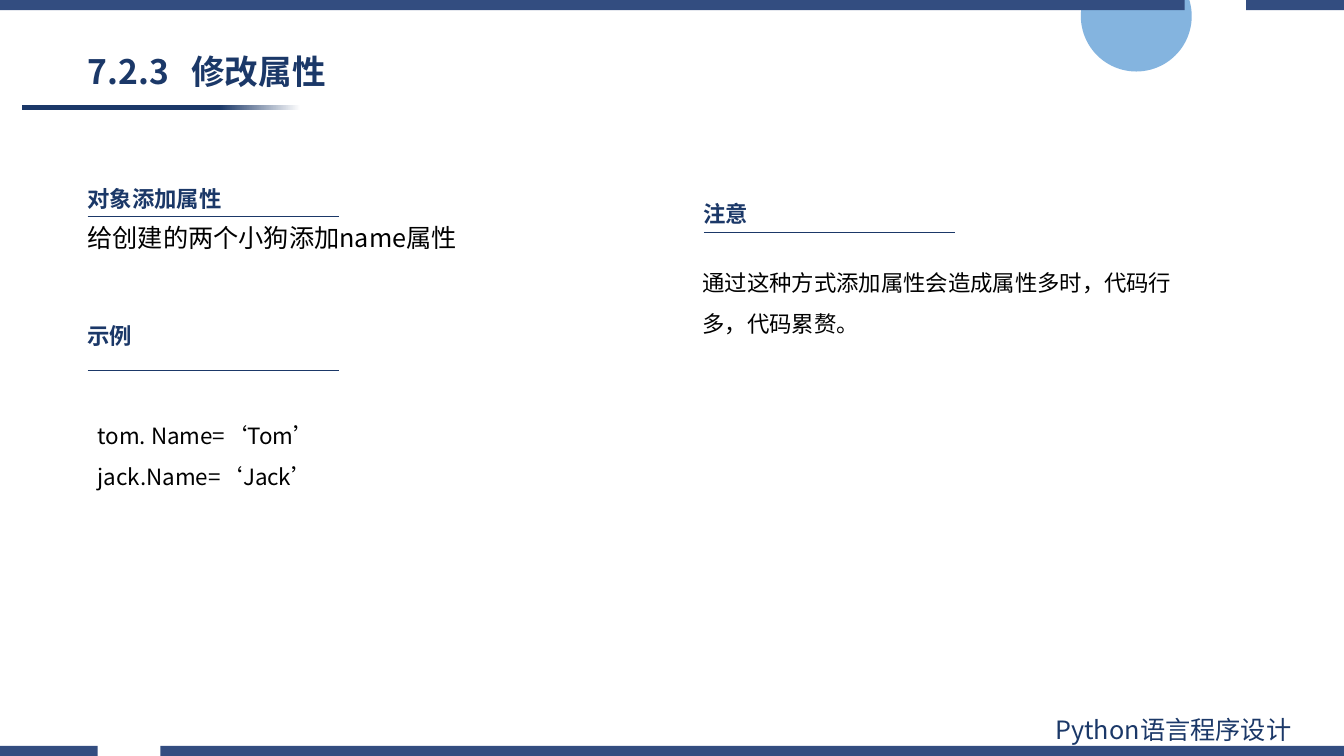
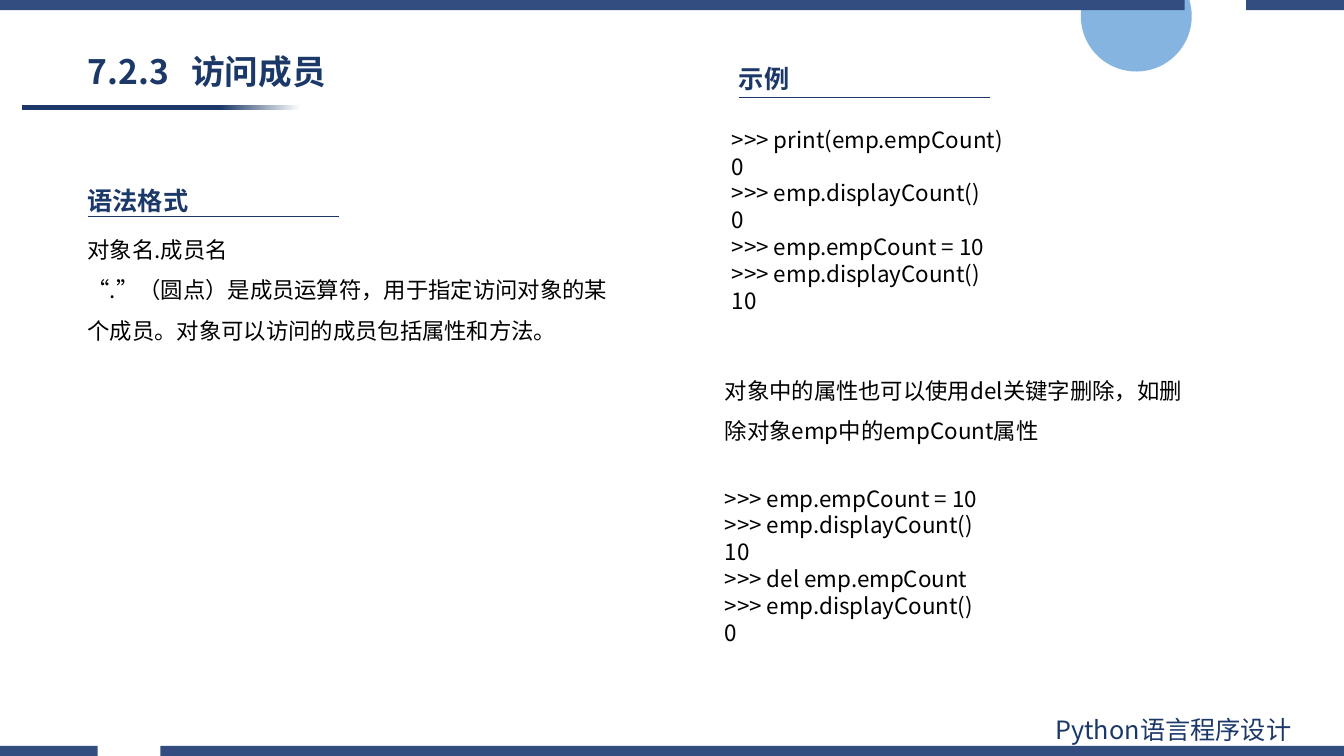
import lxml.etree
import pptx
import pptx.dml.color
import pptx.enum.shapes
import pptx.enum.text
import pptx.oxml.ns
import pptx.util

Inches = pptx.util.Inches
Pt = pptx.util.Pt
qn = pptx.oxml.ns.qn
RGBColor = pptx.dml.color.RGBColor

NAVY = RGBColor(0x1B, 0x38, 0x68)
BAND = RGBColor(0x33, 0x4D, 0x80)
SKY = RGBColor(0x5B, 0x9B, 0xD5)
BLACK = RGBColor(0, 0, 0)
WHITE = RGBColor(255, 255, 255)
FONT = "Noto Sans CJK SC"

WIDTH, HEIGHT = 13.33, 7.5
BAND_HEIGHT = 0.1
BANDS = [
    (0, [(0, 11.75), (12.36, WIDTH)]),
    (HEIGHT - BAND_HEIGHT, [(0, 0.97), (1.59, WIDTH)]),
]
RULE_INSET, RULE_LENGTH = 0.1, 2.49

# headings: text, size, left, top, top of the rule
# bodies: lines, size, line spacing, left, top, width, height
SLIDES = [
    {
        "title": "7.2.3\t修改属性",
        "headings": [
            ("对象添加属性", 16, 0.77, 1.79, 2.15),
            ("示例", 16, 0.77, 3.15, 3.67),
            ("注意", 16, 6.88, 1.94, 2.31),
        ],
        "bodies": [
            (["给创建的两个小狗添加name属性"], 18, 1, 0.77, 2.16, 5.47, 0.4),
            (["tom. Name=‘Tom’", "jack.Name=‘Jack’"], 16, 1.5, 0.87, 4.01, 5.11, 0.91),
            (["通过这种方式添加属性会造成属性多时，代码行多，代码累赘。"],
             16, 1.5, 6.87, 2.49, 4.93, 0.91),
        ],
    },
    {
        "title": "7.2.3\t访问成员",
        "headings": [
            ("语法格式", 18, 0.77, 1.79, 2.15),
            ("示例", 18, 7.23, 0.58, 0.97),
        ],
        "bodies": [
            (["对象名.成员名",
              "“.”（圆点）是成员运算符，用于指定访问对象的某个成员。对象可以访问的成员包括属性和方法。"],
             16, 1.5, 0.77, 2.16, 5.47, 1.31),
            ([">>> print(emp.empCount)", "0", ">>> emp.displayCount()", "0",
              ">>> emp.empCount = 10", ">>> emp.displayCount()", "10"],
             16, 1, 7.16, 1.2, 3.73, 2.26),
            (["对象中的属性也可以使用del关键字删除，如删除对象emp中的empCount属性"],
             16, 1.5, 7.09, 3.56, 4.93, 0.91),
            ([">>> emp.empCount = 10", ">>> emp.displayCount()", "10",
              ">>> del emp.empCount", ">>> emp.displayCount()", "0"],
             16, 1, 7.09, 4.76, 4.93, 1.73),
        ],
    },
]


def add_text(slide, lines, size, left, top, width, height,
             color=BLACK, bold=False, spacing=1):
    """Add a wrapping text box with one paragraph per line."""
    box = slide.shapes.add_textbox(Inches(left), Inches(top), Inches(width), Inches(height))
    frame = box.text_frame
    frame.word_wrap = True
    frame.text = "\n".join(lines)
    for para in frame.paragraphs:
        para.line_spacing = spacing
        for span in para.runs:
            span.font.size = Pt(size)
            span.font.bold = bold
            span.font.color.rgb = color
            span.font.name = FONT
            east_asian = lxml.etree.SubElement(span._r.get_or_add_rPr(), qn("a:ea"))
            east_asian.set("typeface", FONT)
    return box


def add_frame(slide):
    """Draw the circle, title underline, bands and footer shared by all slides."""
    shapes = slide.shapes
    circle = shapes.add_shape(pptx.enum.shapes.MSO_SHAPE.OVAL,
                              Inches(10.72), Inches(-0.39), Inches(1.1), Inches(1.1))
    circle.fill.solid()
    circle.fill.fore_color.rgb = SKY
    tint = circle._element.spPr.find(".//" + qn("a:srgbClr"))
    lxml.etree.SubElement(tint, qn("a:alpha")).set("val", "75000")

    underline = shapes.add_shape(pptx.enum.shapes.MSO_SHAPE.RECTANGLE,
                                 Inches(0.22), Inches(1.04), Inches(2.76), Inches(0.05))
    underline.fill.gradient()
    underline.fill.gradient_angle = 0
    stops = underline.fill.gradient_stops
    for stop, position, color in zip(stops, (0.71, 1), (NAVY, WHITE)):
        stop.position = position
        stop.color.rgb = color

    decorations = [circle, underline]
    for top, spans in BANDS:
        bottom = top + BAND_HEIGHT
        outline = None
        for left, right in spans:
            if outline is None:
                outline = shapes.build_freeform(Inches(left), Inches(top))
            else:
                outline.move_to(Inches(left), Inches(top))
            corners = [(right, top), (right, bottom), (left, bottom)]
            outline.add_line_segments([(Inches(x), Inches(y)) for x, y in corners])
        band = outline.convert_to_shape()
        band.fill.solid()
        band.fill.fore_color.rgb = BAND
        decorations.append(band)
    for shape in decorations:
        shape.line.fill.background()
        shape.shadow.inherit = False

    add_text(slide, ["Python语言程序设计"], 18, 10.37, 7.04, 2.94, 0.4, NAVY)


deck = pptx.Presentation()
deck.slide_width, deck.slide_height = Inches(WIDTH), Inches(HEIGHT)

for page in SLIDES:
    slide = deck.slides.add_slide(deck.slide_layouts[6])
    add_frame(slide)

    title = add_text(slide, [page["title"]], 24, 0.77, 0.45, 3.57, 0.56, NAVY, True, 0.9)
    title.text_frame.vertical_anchor = pptx.enum.text.MSO_ANCHOR.MIDDLE
    properties = title.text_frame.paragraphs[0]._p.get_or_add_pPr()
    tabs = lxml.etree.SubElement(properties, qn("a:tabLst"))
    tab = lxml.etree.SubElement(tabs, qn("a:tab"))
    tab.set("pos", str(Inches(1.03)))
    tab.set("algn", "l")

    for text, size, left, top, rule_top in page["headings"]:
        add_text(slide, [text], size, left, top, 3.4, 0.4, NAVY, True)
        start = left + RULE_INSET
        rule = slide.shapes.add_connector(
            pptx.enum.shapes.MSO_CONNECTOR.STRAIGHT,
            Inches(start), Inches(rule_top), Inches(start + RULE_LENGTH), Inches(rule_top))
        rule.line.color.rgb = NAVY
        rule.line.width = Pt(0.5)
        lxml.etree.SubElement(rule._element.spPr, qn("a:effectLst"))

    for lines, size, spacing, left, top, width, height in page["bodies"]:
        add_text(slide, lines, size, left, top, width, height, spacing=spacing)

deck.save("out.pptx")
